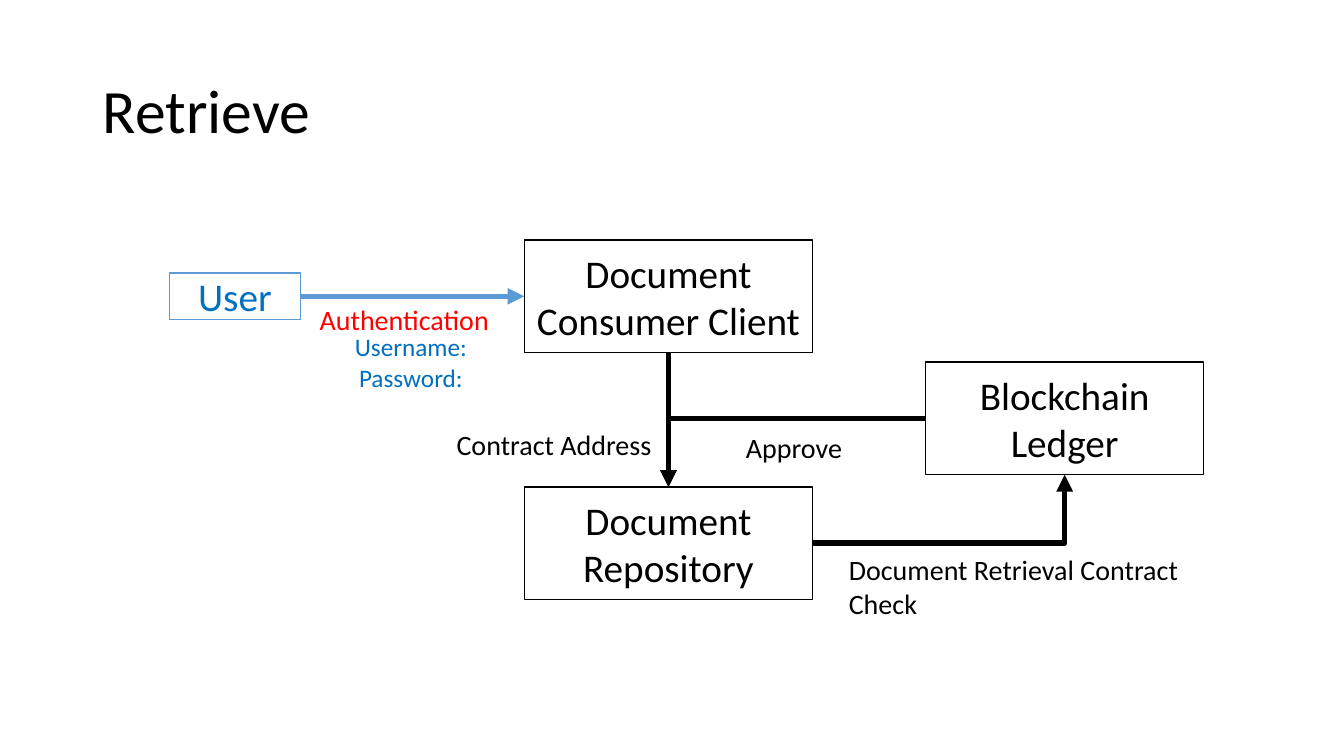
from dataclasses import dataclass

from lxml import etree
from pptx import Presentation
from pptx.dml.color import RGBColor
from pptx.enum.shapes import MSO_CONNECTOR, MSO_SHAPE
from pptx.enum.text import MSO_ANCHOR, MSO_AUTO_SIZE, PP_ALIGN
from pptx.oxml.ns import qn
from pptx.shapes.autoshape import Shape
from pptx.slide import Slide
from pptx.util import Emu, Pt

PX = 9144
RECT = MSO_SHAPE.RECTANGLE
STRAIGHT, ELBOW = MSO_CONNECTOR.STRAIGHT, MSO_CONNECTOR.ELBOW
LEFT, CENTER = PP_ALIGN.LEFT, PP_ALIGN.CENTER
MIDDLE = MSO_ANCHOR.MIDDLE
NO_FIT = MSO_AUTO_SIZE.NONE
TOP_SIDE, LEFT_SIDE, BOTTOM_SIDE, RIGHT_SIDE = range(4)


@dataclass(frozen=True)
class Theme:
    font: str = "Calibri"
    black: str = "000000"
    red: str = "FF0000"
    blue: str = "0070C0"
    sky: str = "5B9BD5"
    title: int = 44
    box: int = 28
    label: int = 20
    small: int = 18
    edge: int = 1
    arrow: int = 4


THEME = Theme()


@dataclass(frozen=True)
class Area:
    left: int
    top: int
    width: int
    height: int

    def emu(self) -> tuple[Emu, Emu, Emu, Emu]:
        return px(self.left), px(self.top), px(self.width), px(self.height)


@dataclass(frozen=True)
class Box:
    name: str
    lines: tuple[str, ...]
    area: Area
    edge: str = THEME.black
    color: str = THEME.black


@dataclass(frozen=True)
class Label:
    lines: tuple[str, ...]
    area: Area
    color: str = THEME.black
    size: int = THEME.label
    align: PP_ALIGN = LEFT


@dataclass(frozen=True)
class Link:
    start: str
    start_side: int
    end: str
    end_side: int
    bent: bool = False
    color: str = THEME.black


BOXES = (
    Box("user", ("User",), Area(168, 271, 130, 46), THEME.sky, THEME.blue),
    Box("client", ("Document Consumer Client",), Area(520, 238, 286, 112)),
    Box("store", ("Document Repository",), Area(520, 483, 286, 112)),
    Box("ledger", ("Blockchain", "Ledger"), Area(918, 359, 276, 112)),
)
LINKS = (
    Link("user", RIGHT_SIDE, "client", LEFT_SIDE, color=THEME.sky),
    Link("store", RIGHT_SIDE, "ledger", BOTTOM_SIDE, bent=True),
    Link("client", BOTTOM_SIDE, "store", TOP_SIDE),
    Link("ledger", LEFT_SIDE, "store", TOP_SIDE, bent=True),
)
LABELS = (
    Label(("Authentication",), Area(299, 289, 204, 55), THEME.red, align=CENTER),
    Label(("Username:", "Password:"), Area(339, 310, 137, 98),
          THEME.blue, THEME.small, CENTER),
    Label(("Document Retrieval Contract", "Check"), Area(832, 545, 352, 73)),
    Label(("Contract Address",), Area(443, 404, 227, 73)),
    Label(("Approve",), Area(730, 407, 127, 73)),
)


def px(count: int) -> Emu:
    return Emu(count * PX)


def rgb(color: str) -> RGBColor:
    return RGBColor.from_string(color)


def write(shape: Shape, lines: tuple[str, ...], size: int, color: str,
          align: PP_ALIGN) -> None:
    frame = shape.text_frame
    frame.word_wrap = True
    frame.auto_size = NO_FIT
    frame.vertical_anchor = MIDDLE
    for index, line in enumerate(lines):
        para = frame.add_paragraph() if index else frame.paragraphs[0]
        para.alignment = align
        run = para.add_run()
        run.text = line
        run.font.name = THEME.font
        run.font.size = Pt(size)
        run.font.color.rgb = rgb(color)


def draw_title(slide: Slide, text: str, area: Area) -> None:
    title = slide.shapes.title
    title.left, title.top, title.width, title.height = area.emu()
    write(title, (text,), THEME.title, THEME.black, LEFT)
    title.text_frame.paragraphs[0].line_spacing = 0.9


def draw_box(slide: Slide, box: Box) -> Shape:
    shape = slide.shapes.add_shape(RECT, *box.area.emu())
    shape.shadow.inherit = False
    shape.fill.background()
    shape.line.color.rgb = rgb(box.edge)
    shape.line.width = Pt(THEME.edge)
    write(shape, box.lines, THEME.box, box.color, CENTER)
    return shape


def draw_link(slide: Slide, link: Link, shapes: dict[str, Shape]) -> None:
    kind = ELBOW if link.bent else STRAIGHT
    wire = slide.shapes.add_connector(kind, 0, 0, 0, 0)
    wire.begin_connect(shapes[link.start], link.start_side)
    wire.end_connect(shapes[link.end], link.end_side)
    wire.line.color.rgb = rgb(link.color)
    wire.line.width = Pt(THEME.arrow)
    props = wire.element.spPr
    if link.bent:
        props.find(qn("a:prstGeom")).set("prst", "bentConnector2")
    etree.SubElement(props.find(qn("a:ln")), qn("a:tailEnd"), type="triangle")
    etree.SubElement(props, qn("a:effectLst"))


def draw_label(slide: Slide, label: Label) -> None:
    shape = slide.shapes.add_textbox(*label.area.emu())
    write(shape, label.lines, label.size, label.color, label.align)


def main() -> None:
    deck = Presentation()
    deck.slide_width, deck.slide_height = px(1333), px(750)
    slide = deck.slides.add_slide(deck.slide_layouts.get_by_name("Title Only"))
    draw_title(slide, "Retrieve", Area(92, 40, 1150, 145))
    shapes = {box.name: draw_box(slide, box) for box in BOXES}
    for link in LINKS:
        draw_link(slide, link, shapes)
    for label in LABELS:
        draw_label(slide, label)
    deck.save("out.pptx")


if __name__ == "__main__":
    main()
